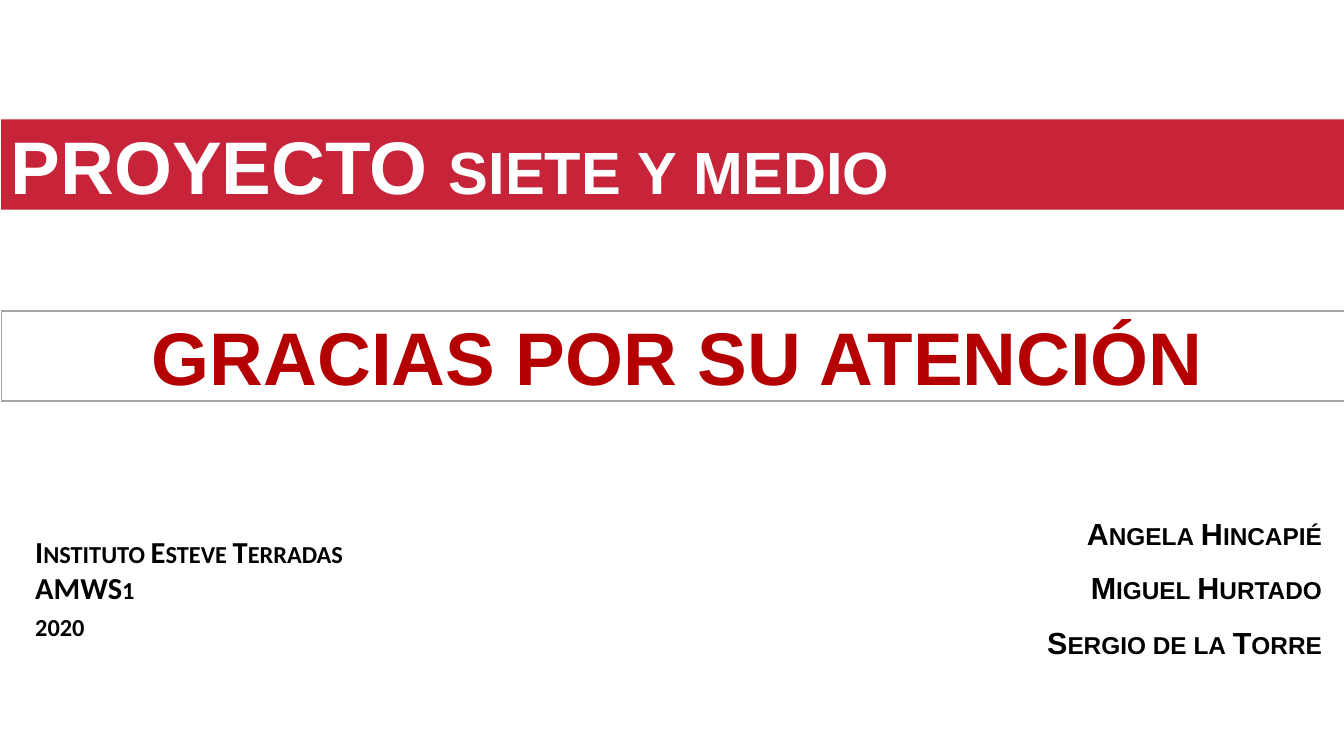
from dataclasses import dataclass

import pptx
import pptx.dml.color
import pptx.enum.text
import pptx.util
from pptx.util import Inches

Align = pptx.enum.text.PP_ALIGN
Anchor = pptx.enum.text.MSO_ANCHOR

COLORS = {
    "banner": "C7243A",
    "banner_text": "FFFFFF",
    "thanks": "B40000",
    "border": "A5A5A5",
    "body": "000000",
}


@dataclass
class Span:
    text: str
    small_caps: bool = False


@dataclass
class Frame:
    left: float
    top: float
    width: float
    height: float


BANNER = Frame(0.01, 0.98, 11.02, 0.74)
THANKS = Frame(0.01, 2.55, 11.02, 0.74)
SCHOOL = Frame(0.19, 4.32, 3.22, 1.01)
AUTHORS = Frame(7.88, 4.22, 2.96, 1.22)

BANNER_INSETS = (0.08, 0, 0, 0)


def rgb(name: str) -> pptx.dml.color.RGBColor:
    return pptx.dml.color.RGBColor.from_string(COLORS[name])


def place(shape, frame: Frame) -> None:
    shape.left, shape.top = Inches(frame.left), Inches(frame.top)
    shape.width, shape.height = Inches(frame.width), Inches(frame.height)


def write(shape, lines: list[list[Span]], *, size: float, font: str, color: str,
          align=Align.LEFT, anchor=Anchor.TOP, space_after: float = 0,
          insets: tuple = (0.1, 0.05, 0.1, 0.05)) -> None:
    frame = shape.text_frame
    frame.word_wrap = True
    frame.auto_size = pptx.enum.text.MSO_AUTO_SIZE.SHAPE_TO_FIT_TEXT
    frame.vertical_anchor = anchor
    (frame.margin_left, frame.margin_top,
     frame.margin_right, frame.margin_bottom) = map(Inches, insets)
    for index, line in enumerate(lines):
        para = frame.add_paragraph() if index else frame.paragraphs[0]
        para.alignment = align
        para.space_after = pptx.util.Pt(space_after)
        for part in line:
            span = para.add_run()
            span.text = part.text
            span.font.name = font
            span.font.size = pptx.util.Pt(size)
            span.font.bold = True
            span.font.color.rgb = rgb(color)
            if part.small_caps:
                span._r.get_or_add_rPr().set("cap", "small")


def add_text_box(page, frame: Frame):
    box = page.shapes.add_textbox(0, 0, 0, 0)
    place(box, frame)
    return box


def small_caps_lines(*texts: str) -> list[list[Span]]:
    return [[Span(text, small_caps=True)] for text in texts]


def main() -> None:
    deck = pptx.Presentation()
    deck.slide_width, deck.slide_height = Inches(11.02), Inches(6.2)
    page = deck.slides.add_slide(deck.slide_layouts.get_by_name("Title Only"))

    banner = page.shapes.title
    place(banner, BANNER)
    banner.fill.solid()
    banner.fill.fore_color.rgb = rgb("banner")
    write(banner, [[Span("PROYECTO "), Span("siete y medio", small_caps=True)]],
          size=44, font="Arial", color="banner_text",
          anchor=Anchor.MIDDLE, insets=BANNER_INSETS)

    authors = add_text_box(page, AUTHORS)
    write(authors,
          small_caps_lines("Angela Hincapié", "Miguel Hurtado", "Sergio de la Torre"),
          size=18, font="Arial", color="body", align=Align.RIGHT,
          space_after=10.7, insets=(0, 0, 0, 0))

    school = add_text_box(page, SCHOOL)
    write(school, small_caps_lines("Instituto Esteve Terradas", "AMWS1", "2020"),
          size=18, font="Calibri", color="body")

    thanks = add_text_box(page, THANKS)
    thanks.line.color.rgb = rgb("border")
    thanks.line.width = pptx.util.Pt(0.75)
    write(thanks, [[Span("GRACIAS POR SU ATENCIÓN")]],
          size=44, font="Arial", color="thanks", align=Align.CENTER,
          anchor=Anchor.MIDDLE, insets=BANNER_INSETS)

    deck.save("out.pptx")


if __name__ == "__main__":
    main()
